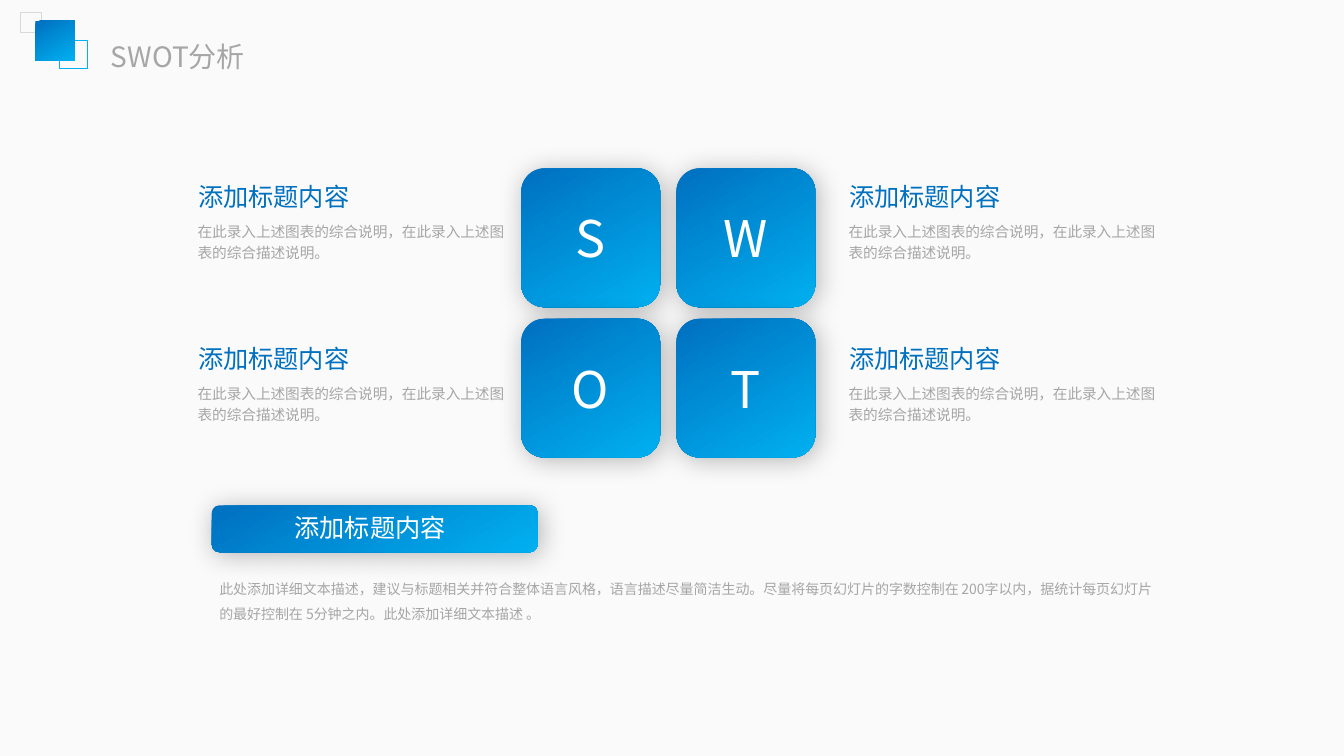
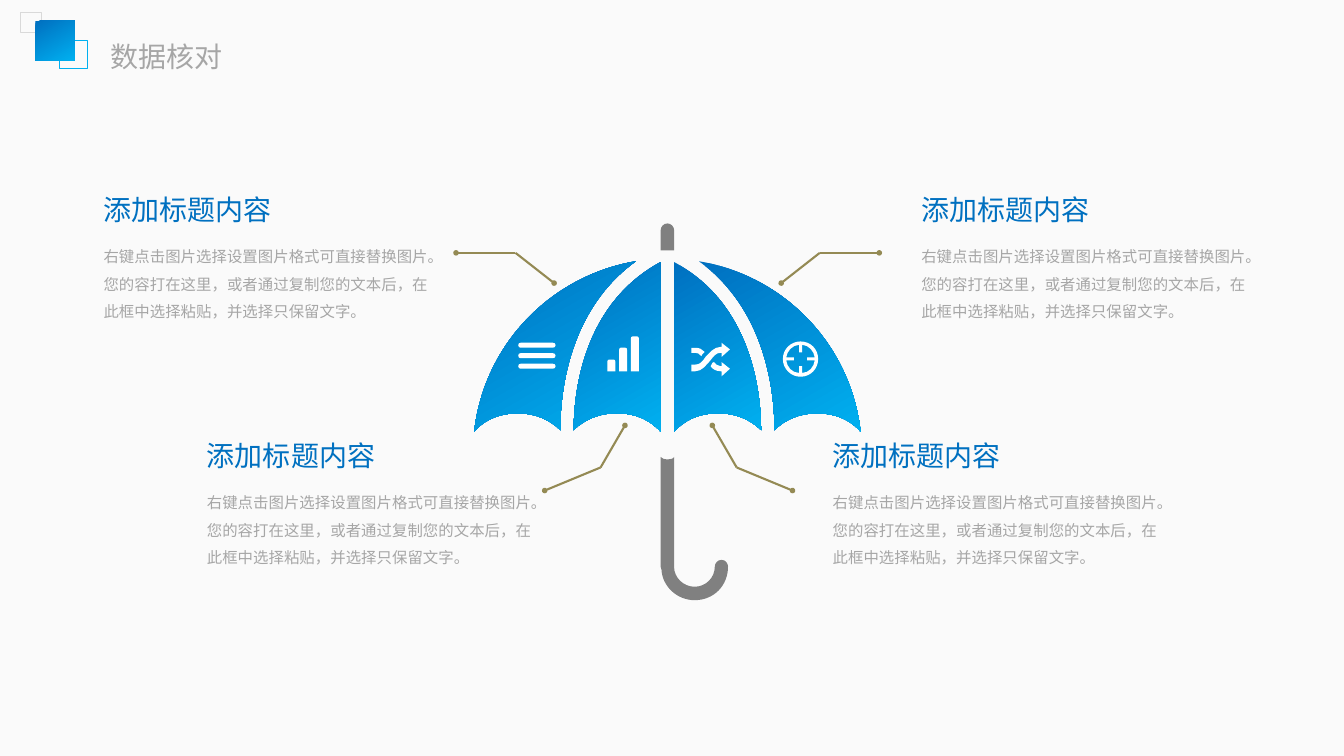
import pptx
import pptx.util
import pptx.dml.color
import pptx.enum.shapes
import pptx.enum.text
import pptx.oxml.ns
import lxml.etree

COLORS = {
    "paper": "FAFAFA", "deep": "0070C0", "bright": "00B0F0", "pale": "D9D9D9",
    "text": "A6A6A6", "white": "FFFFFF", "handle": "808080", "callout": "948A54",
}
RGB = {name: pptx.dml.color.RGBColor.from_string(code) for name, code in COLORS.items()}
FONT = "Noto Sans CJK SC"
HEADING = "添加标题内容"
KIND = pptx.enum.shapes.MSO_SHAPE
ALIGN = pptx.enum.text.PP_ALIGN
ANCHOR = pptx.enum.text.MSO_ANCHOR
Pt = pptx.util.Pt
qn = pptx.oxml.ns.qn

deck = pptx.Presentation()
deck.slide_width = pptx.util.Emu(12192000)
deck.slide_height = pptx.util.Emu(6858000)
cell = deck.slide_width // 160


def write(holder, text, at=None, size=10, color="text", align=ALIGN.LEFT, anchor=ANCHOR.TOP,
          spacing=None, before=None, after=None, inset=(1.2, 0.6, 1.2, 0.6)):
    box = holder
    if at:
        box = holder.shapes.add_textbox(*[round(length * cell) for length in at])
    frame = box.text_frame
    frame.word_wrap = True
    frame.auto_size = pptx.enum.text.MSO_AUTO_SIZE.NONE
    frame.vertical_anchor = anchor
    frame.margin_left, frame.margin_top, frame.margin_right, frame.margin_bottom = [
        round(length * cell) for length in inset]
    para = frame.add_paragraph() if frame.text else frame.paragraphs[0]
    para.alignment = align
    if spacing:
        para.line_spacing = spacing
    if before:
        para.space_before = Pt(before)
    if after:
        para.space_after = Pt(after)
    span = para.add_run()
    span.text = text
    span.font.size = Pt(size)
    span.font.color.rgb = RGB[color]
    span.font.name = FONT
    lxml.etree.SubElement(span.font._element, qn("a:ea"), typeface=FONT)
    return box


def outline(page, contours, mirror=None):
    builder = None
    steps = []
    for contour in contours:
        turned = []
        for step in contour:
            pairs = zip(step[::2], step[1::2])
            turned.append([(round((mirror - x if mirror else x) * cell), round(y * cell))
                           for x, y in pairs])
        start = turned[0][0]
        if builder is None:
            builder = page.shapes.build_freeform(*start, scale=1.0)
        else:
            builder.move_to(*start)
        builder.add_line_segments([step[-1] for step in turned[1:]], close=True)
        steps += turned[1:]
    shape = builder.convert_to_shape()
    for segment, step in zip(list(shape._element.iter(qn("a:lnTo"))), steps):
        if len(step) == 3:
            curve = lxml.etree.Element(qn("a:cubicBezTo"))
            for x, y in step:
                lxml.etree.SubElement(curve, qn("a:pt"), x=str(x - shape.left),
                                      y=str(y - shape.top))
            segment.getparent().replace(segment, curve)
    return shape


painted = []
raised = []

deck.slide_master.background.fill.solid()
deck.slide_master.background.fill.fore_color.rgb = RGB["paper"]
layout = deck.slide_layouts[5]
header = layout.placeholders[0]
header.left, header.top, header.width, header.height = [
    round(length * cell) for length in (12, 4.1, 23.6, 4.9)]

pages = []
for title in ("SWOT分析", "数据核对"):
    page = deck.slides.add_slide(layout)
    write(page.shapes.title, title, size=20)
    for left, top, side, edge in ((7.08, 4.8, 3.36, "bright"), (2.5, 1.52, 2.4, "pale"),
                                  (4.2, 2.5, 4.7, None)):
        square = page.shapes.add_shape(
            KIND.RECTANGLE, *[round(length * cell) for length in (left, top, side, side)])
        if edge:
            square.shadow.inherit = False
            square.fill.background()
            square.line.color.rgb = RGB[edge]
            square.line.width = Pt(0.75)
        else:
            painted.append((square, "gradient"))
    pages.append(page)
swot, umbrella = pages

for index, letter in enumerate("SWOT"):
    row, column = divmod(index, 2)
    tile = swot.shapes.add_shape(KIND.ROUNDED_RECTANGLE, *[
        round(length * cell)
        for length in (62.06, 20.04, 16.52, 16.52)])
    tile.left += round(18.47 * column * cell)
    tile.top += round(17.9 * row * cell)
    write(tile, letter, size=36, color="white", align=ALIGN.CENTER, anchor=ANCHOR.MIDDLE)
    raised.append(tile)
    left, top = 22.35 + 77.5 * column, 21 + 19.3 * row
    write(swot, HEADING, at=(left + 0.06, top, 20.64, 4.8), size=18, color="deep")
    write(swot, "在此录入上述图表的综合说明，在此录入上述图表的综合描述说明。",
          at=(left, top + 4.47, 39.7, 6.4), size=10.5, spacing=1.2)

bar = swot.shapes.add_shape(
    KIND.ROUNDED_RECTANGLE, *[round(length * cell) for length in (25.2, 60.15, 38.8, 5.6)])
raised.append(bar)
write(swot, HEADING, at=(24.2, 60.1, 39.7, 5.3), size=18, color="white",
      align=ALIGN.CENTER, anchor=ANCHOR.MIDDLE)
write(swot, "此处添加详细文本描述，建议与标题相关并符合整体语言风格，语言描述尽量简洁生动。"
      "尽量将每页幻灯片的字数控制在 200字以内，据统计每页幻灯片的最好控制在 5分钟之内。"
      "此处添加详细文本描述 。", at=(25.2, 67.64, 114.4, 7), spacing=1.5,
      inset=(0.9, 0.5, 0.9, 0.5))

for near, bend, far, mirror in (((93, 33.7), (97.6, 30.1), (104.68, 30.1), 158.97),
                                ((84.8, 50.65), (87.7, 55.65), (94.35, 58.4), 159.2)):
    for mirrored in (False, True):
        for start, end, dot in ((near, bend, "a:headEnd"), (bend, far, "a:tailEnd")):
            ends = [(mirror - x if mirrored else x, y) for x, y in (start, end)]
            line = umbrella.shapes.add_connector(
                pptx.enum.shapes.MSO_CONNECTOR.STRAIGHT,
                *[round(length * cell) for point in ends for length in point])
            line.line.color.rgb = RGB["callout"]
            line.line.width = Pt(1.5)
            properties = line._element.spPr
            lxml.etree.SubElement(properties.find(qn("a:ln")), qn(dot), type="oval",
                                  w="sm", len="sm")
            lxml.etree.SubElement(properties, qn("a:effectLst"))

outer_panel = [(61.7, 49.2), (59.6, 49.2, 57.7, 49.9, 56.45, 51.4),
               (57.6, 41, 65.6, 32.8, 75.7, 31.1), (67.2, 37.2, 66.7, 47.9, 66.7, 51.2),
               (65.4, 49.9, 63.6, 49.2, 61.7, 49.2)]
inner_panel = [(73.4, 49.2), (71.4, 49.2, 69.6, 49.9, 68.3, 51.2),
               (68.3, 48.1, 68.8, 36.5, 78.65, 31.2), (78.65, 51.4),
               (77.3, 49.9, 75.5, 49.2, 73.4, 49.2)]
for panel in (outer_panel, inner_panel):
    for mirror in (None, 158.9):
        painted.append((outline(umbrella, [panel], mirror), "gradient"))

handle = [(79.45, 54.7), (79.1, 54.7, 78.85, 54.6, 78.65, 54.4), (78.65, 67.45),
          (78.65, 67.6, 78.75, 67.7, 78.75, 67.8), (78.85, 69.8, 80.6, 71.45, 82.7, 71.45),
          (85, 71.45, 86.67, 69.7, 86.67, 67.45), (86.67, 67.1, 86.4, 66.65, 85.9, 66.65),
          (85.4, 66.65, 85.1, 67.1, 85.1, 67.45), (85.1, 68.8, 84, 69.85, 82.7, 69.85),
          (81.4, 69.85, 80.25, 68.8, 80.25, 67.45), (80.25, 54.4),
          (80.2, 54.6, 79.8, 54.7, 79.45, 54.7)]
tip = [(80.25, 29.8), (80.25, 27.4), (80.25, 27, 79.9, 26.6, 79.45, 26.6),
       (79, 26.6, 78.65, 27, 78.65, 27.4), (78.65, 29.8)]
for part in (handle, tip):
    painted.append((outline(umbrella, [part]), "handle"))

menu = [[(62, y), (65.8, y), (66, y, 66.15, y + 0.1, 66.15, y + 0.3),
         (66.15, y + 0.5, 66, y + 0.6, 65.8, y + 0.6), (62, y + 0.6),
         (61.8, y + 0.6, 61.7, y + 0.5, 61.7, y + 0.3), (61.7, y + 0.1, 61.8, y, 62, y)]
        for y in (40.8, 42.05, 43.3)]
bars = [[(x + 0.75, y), (x + 0.2, y), (x + 0.08, y, x, y + 0.1, x, y + 0.25), (x, 44.23),
         (x + 0.95, 44.23), (x + 0.95, y + 0.25), (x + 0.95, y + 0.1, x + 0.87, y, x + 0.75, y)]
        for x, y in ((72.31, 42.8), (73.71, 41.4), (75.11, 40.05))]
shuffle = [
    [(85.9, 43.6), (85.8, 43.6), (85.4, 43.6, 85.2, 43.3, 85, 43.1),
     (85, 43.1, 84.9, 43.2, 84.8, 43.2), (84.8, 43.3, 84.7, 43.4, 84.6, 43.6),
     (84.8, 43.9, 85.2, 44.2, 85.8, 44.2), (85.9, 44.2), (85.9, 44.8), (86.9, 43.9),
     (85.9, 43.1)],
    [(83.5, 42.4), (83.5, 42.4, 83.6, 42.3, 83.6, 42.2), (83.7, 42.1, 83.8, 42, 83.9, 41.9),
     (83.6, 41.6, 83.3, 41.4, 82.8, 41.4), (82.3, 41.4), (82.3, 42),
     (82.8, 42), (83, 42, 83.3, 42.1, 83.5, 42.4)],
    [(85.8, 42), (85.9, 42), (85.9, 42.5), (86.9, 41.6), (85.9, 40.8), (85.9, 41.3),
     (85.8, 41.3), (85, 41.3, 84.5, 42, 84, 42.5), (83.6, 43.1, 83.3, 43.4, 82.8, 43.4),
     (82.3, 43.4), (82.3, 44.2), (82.8, 44.2), (83.6, 44.2, 84.1, 43.4, 84.5, 43),
     (85, 42.4, 85.2, 42, 85.8, 42)],
]
target = [
    [(95.5, 44.4), (95.5, 43.6), (95.15, 43.6), (95.15, 44.4),
     (94.3, 44.4, 93.7, 43.7, 93.6, 42.9), (94.5, 42.9), (94.5, 42.55), (93.6, 42.55),
     (93.7, 41.8, 94.3, 41.1, 95.15, 41.05), (95.15, 41.95), (95.5, 41.95), (95.5, 41.05),
     (96.3, 41.1, 96.9, 41.8, 97, 42.55), (96.1, 42.55), (96.1, 42.9), (97, 42.9),
     (96.9, 43.7, 96.3, 44.4, 95.5, 44.4)],
    [(95.3, 40.65), (94.15, 40.65, 93.2, 41.55, 93.2, 42.75),
     (93.2, 43.9, 94.15, 44.85, 95.3, 44.85), (96.5, 44.85, 97.4, 43.9, 97.4, 42.75),
     (97.4, 41.55, 96.5, 40.65, 95.3, 40.65)],
]
for icon in (menu, bars, shuffle, target):
    painted.append((outline(umbrella, icon), "white"))

for left, top in ((11.15, 22.3), (108.5, 22.3), (97.95, 51.6), (23.45, 51.6)):
    box = write(umbrella, HEADING, at=(left, top, 42.4, 20.8), size=20, color="deep", after=6)
    write(box, "右键点击图片选择设置图片格式可直接替换图片。您的容打在这里，或者通过复制您的文本后，"
          "在此框中选择粘贴，并选择只保留文字。", size=11, spacing=1.5, before=2.4, after=12)

for shape, paint in painted + [(shape, "gradient") for shape in raised]:
    shape.shadow.inherit = False
    shape.line.fill.background()
    if paint == "gradient":
        shape.fill.gradient()
        shape.fill.gradient_angle = 300
        for stop, name in zip(shape.fill.gradient_stops, ("deep", "bright")):
            stop.color.rgb = RGB[name]
    else:
        shape.fill.solid()
        shape.fill.fore_color.rgb = RGB[paint]

for shape in raised:
    effects = shape._element.spPr.find(qn("a:effectLst"))
    shadow = lxml.etree.SubElement(effects, qn("a:outerShdw"), blurRad=str(Pt(19)),
                                   dist=str(Pt(3)), dir="2700000", algn="tl", rotWithShape="0")
    tint = lxml.etree.SubElement(shadow, qn("a:srgbClr"), val="000000")
    lxml.etree.SubElement(tint, qn("a:alpha"), val="28000")

deck.save("out.pptx")
